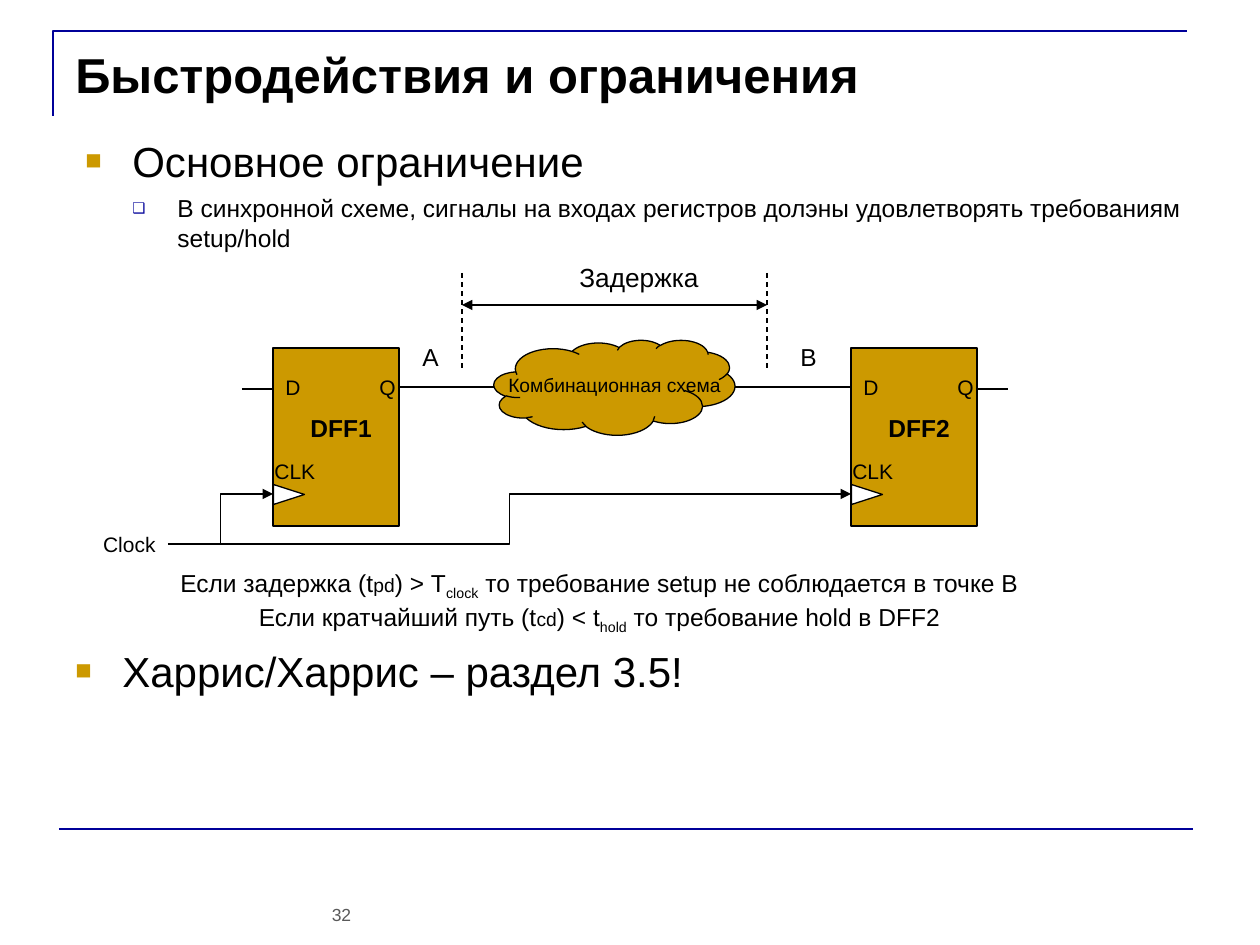
"""Builds the slide on timing constraints between two flip-flops."""
import lxml.etree
import pptx
import pptx.dml.color
import pptx.enum.dml
import pptx.enum.shapes
import pptx.enum.text
import pptx.oxml.ns
import pptx.util

SCALE = 914400 / 126
COLORS = {"ink": "000000", "navy": "000099", "gold": "CC9900",
          "paper": "FFFFFF", "gray": "595959"}
SHAPES = pptx.enum.shapes.MSO_SHAPE
ALIGN = pptx.enum.text.PP_ALIGN


def px(length):
    """Turn px into EMU."""
    return pptx.util.Emu(round(length * SCALE))


def rgb(color):
    """Look up a named colour."""
    return pptx.dml.color.RGBColor.from_string(COLORS[color])


def add_xml(parent, tag, **attributes):
    """Append a drawing element."""
    return lxml.etree.SubElement(parent, pptx.oxml.ns.qn(tag), attributes)


def style_line(line, color, width):
    """Set the colour and width of a line."""
    line.color.rgb = rgb(color)
    line.width = pptx.util.Pt(width)


def style_paragraph(paragraph, size, color="ink", bold=False, align=ALIGN.LEFT):
    """Set the font and alignment of a paragraph."""
    paragraph.alignment = align
    paragraph.font.name = "Arial"
    paragraph.font.size = pptx.util.Pt(size)
    paragraph.font.bold = bold
    paragraph.font.color.rgb = rgb(color)


def add_text_frame(slide, left, top, width, height):
    """Add a wrapping text box and return its text frame."""
    box = slide.shapes.add_textbox(px(left), px(top), px(width), px(height))
    box.text_frame.word_wrap = True
    return box.text_frame


def add_label(slide, text, left, top, width, height, size, **style):
    """Add a text of one paragraph."""
    paragraph = add_text_frame(slide, left, top, width, height).paragraphs[0]
    paragraph.text = text
    style_paragraph(paragraph, size, **style)


def write_bullet(paragraph, text, size, mark, color, percent, margin, hanging, before, level=0):
    """Write a paragraph with a coloured bullet."""
    paragraph.text = text
    paragraph.level = level
    properties = paragraph._p.get_or_add_pPr()
    properties.set("marL", str(px(margin)))
    properties.set("indent", str(-px(hanging)))
    add_xml(add_xml(properties, "a:buClr"), "a:srgbClr", val=COLORS[color])
    add_xml(properties, "a:buSzPct", val=str(percent * 1000))
    add_xml(properties, "a:buFont", typeface="Arial")
    add_xml(properties, "a:buChar", char=mark)
    paragraph.space_before = pptx.util.Pt(before)
    style_paragraph(paragraph, size)


def write_topic(paragraph, text):
    """Write a top-level bullet."""
    write_bullet(paragraph, text, 24, "■", "gold", 65, 47, 47, 6)


def write_condition(paragraph, pieces):
    """Write a centred condition from (text, kind) pieces."""
    for text, kind in pieces:
        run = paragraph.add_run()
        run.text = text
        if kind == "small":
            run.font.size = pptx.util.Pt(11)
        elif kind == "sub":
            run._r.get_or_add_rPr().set("baseline", "-25000")
    style_paragraph(paragraph, 14, align=ALIGN.CENTER)


def add_filled(slide, kind, left, top, width, height, fill):
    """Add an outlined preset shape."""
    shape = slide.shapes.add_shape(kind, px(left), px(top), px(width), px(height))
    shape.shadow.inherit = False
    shape.fill.solid()
    shape.fill.fore_color.rgb = rgb(fill)
    style_line(shape.line, "ink", 0.75)
    return shape


def add_wire(slide, start, end, color="ink", width=1, bent=False, dashed=False, arrows=()):
    """Add a straight or bent connector."""
    kinds = pptx.enum.shapes.MSO_CONNECTOR
    wire = slide.shapes.add_connector(kinds.ELBOW if bent else kinds.STRAIGHT,
                                      *map(px, start + end))
    style_line(wire.line, color, width)
    if dashed:
        wire.line.dash_style = pptx.enum.dml.MSO_LINE.DASH
    for arrow in arrows:
        add_xml(wire.line._get_or_add_ln(), arrow, type="triangle")
    add_xml(wire._element.spPr, "a:effectLst")


def add_frame(slide):
    """Add the title corner, the bottom rule and the page number."""
    outline = slide.shapes.build_freeform(53, 116, scale=SCALE)
    outline.add_line_segments([(53, 31), (1187, 31)], close=False)
    corner = outline.convert_to_shape()
    corner.shadow.inherit = False
    corner.fill.background()
    style_line(corner.line, "navy", 1.5)
    add_wire(slide, (59, 829), (1193, 829), "navy", 1.5)
    add_label(slide, "32", 315, 898, 53, 34, 10, color="gray", align=ALIGN.CENTER)


def add_flip_flop(slide, name, left, top=348):
    """Add a flip-flop with its pins and clock mark."""
    add_filled(slide, SHAPES.RECTANGLE, left, top, 126, 178, "gold")
    clock_mark = add_filled(slide, SHAPES.ISOSCELES_TRIANGLE, left + 6, top + 131, 20, 31, "paper")
    clock_mark.rotation = 90
    add_label(slide, "D", left, top + 20, 32, 38, 12, align=ALIGN.CENTER)
    add_label(slide, "Q", left + 94, top + 20, 32, 38, 12)
    add_label(slide, "CLK", left - 11, top + 104, 105, 38, 12)
    add_label(slide, name, left + 25, top + 59, 95, 43, 14, bold=True)


def add_logic_cloud(slide):
    """Add the combinational logic between the flip-flops."""
    cloud = add_filled(slide, SHAPES.CLOUD, 494, 340, 241, 95, "gold")
    frame = cloud.text_frame
    frame.word_wrap = False
    frame.margin_left = px(30)
    frame.vertical_anchor = pptx.enum.text.MSO_ANCHOR.MIDDLE
    frame.text = "Комбинационная схема"
    style_paragraph(frame.paragraphs[0], 11, align=ALIGN.CENTER)


def add_conditions(slide):
    """Add the setup and hold conditions."""
    frame = add_text_frame(slide, 113, 562, 973, 72)
    write_condition(frame.paragraphs[0], [
        ("Если задержка (t", ""), ("pd", "small"), (") > T", ""), ("clock", "sub"),
        (" то требование setup не соблюдается в точке B", "")])
    write_condition(frame.add_paragraph(), [
        ("Если кратчайший путь (t", ""), ("сd", "small"), (") < t", ""), ("hold", "sub"),
        (" то требование hold в DFF2", "")])


def add_circuit(slide):
    """Add the flip-flops, the logic, the wires and the delay span."""
    add_flip_flop(slide, "DFF2", 851)
    add_logic_cloud(slide)
    for start, end, height in [(399, 494, 387), (735, 851, 387), (242, 273, 389), (976, 1008, 389)]:
        add_wire(slide, (start, height), (end, height))
    for clock_pin in (273, 851):
        add_wire(slide, (168, 544), (clock_pin, 494), bent=True, arrows=["a:tailEnd"])
    add_label(slide, "Clock", 63, 525, 105, 38, 12, align=ALIGN.RIGHT)
    for edge in (462, 767):
        add_wire(slide, (edge, 273), (edge, 368), width=0.75, dashed=True)
    add_wire(slide, (462, 305), (767, 305), width=0.75, arrows=["a:headEnd", "a:tailEnd"])
    add_label(slide, "Задержка", 567, 255, 146, 44, 15)
    add_label(slide, "A", 410, 336, 45, 50, 14)
    add_label(slide, "B", 788, 336, 45, 50, 14)
    add_flip_flop(slide, "DFF1", 273)


def main():
    """Build and save the slide."""
    deck = pptx.Presentation()
    deck.slide_width, deck.slide_height = px(1260), px(945)
    slide = deck.slides.add_slide(deck.slide_layouts[6])
    add_frame(slide)
    add_label(slide, "Быстродействия и ограничения", 63, 38, 1134, 158, 28, bold=True)
    constraint = add_text_frame(slide, 73, 129, 1134, 189)
    write_topic(constraint.paragraphs[0], "Основное ограничение")
    write_bullet(constraint.add_paragraph(),
                 "В синхронной схеме, сигналы на входах регистров долэны "
                 "удовлетворять требованиям setup/hold",
                 14, "❑", "navy", 60, 92, 45, 4.5, level=1)
    add_conditions(slide)
    add_circuit(slide)
    reading = add_text_frame(slide, 63, 639, 1134, 189)
    write_topic(reading.paragraphs[0], "Харрис/Харрис – раздел 3.5!")
    deck.save("out.pptx")


if __name__ == "__main__":
    main()
